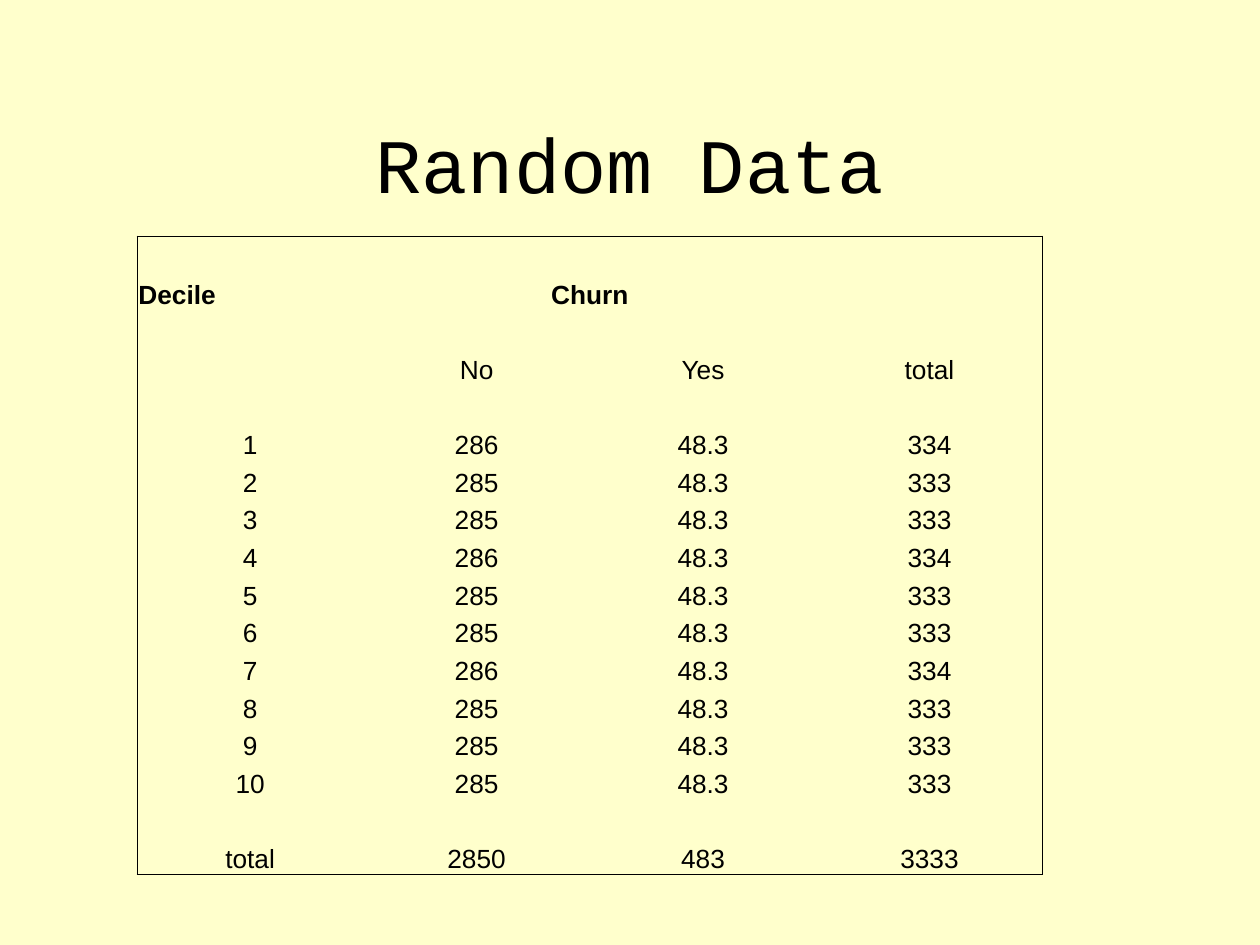
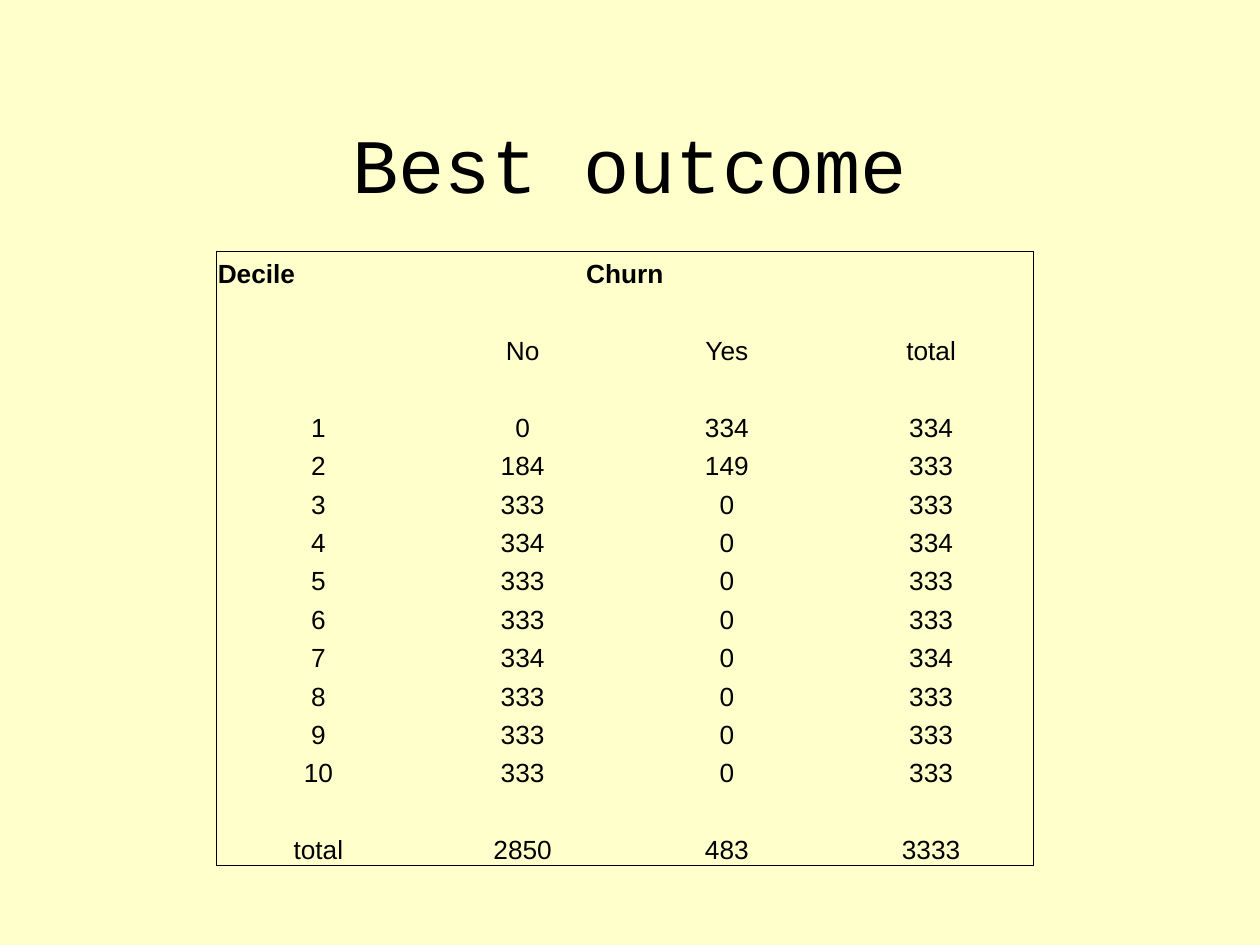
from dataclasses import dataclass

from lxml.etree import SubElement
from pptx import Presentation
from pptx.dml.color import RGBColor
from pptx.enum.text import MSO_ANCHOR, PP_ALIGN
from pptx.oxml.ns import qn
from pptx.presentation import Presentation as Deck
from pptx.slide import Slide
from pptx.table import Table, _Cell
from pptx.text.text import _Paragraph
from pptx.util import Cm, Pt

COLOURS = {"paper": "FFFFCC", "ink": "000000"}
TITLE_FONT, TABLE_FONT = "Courier New", "Arial"
TITLE_SIZE, TABLE_SIZE = Pt(44), Pt(15)
BORDER_WIDTH = Pt(0.5)
NO_STYLE = "{2D5ABB26-0587-4C30-8999-92F81FD0307C}"


@dataclass
class DecilePage:
    """One slide: a title and a churn table; lengths in centimetres."""
    title: str
    left: float
    top: float
    width: float
    height: float
    header_height: float
    no: list[str]
    yes: list[str]
    total: list[str]

    def rows(self) -> list[list[str]]:
        blank = [""] * 4
        deciles = [str(number) for number in range(1, 11)]
        body = [list(row) for row in zip(deciles, self.no, self.yes, self.total)]
        return [
            ["Decile", "Churn", "", ""],
            blank,
            ["", "No", "Yes", "total"],
            blank,
            *body,
            blank,
            ["total", "2850", "483", "3333"],
        ]


DECILE_TOTALS = "334 333 333 334 333 333 334 333 333 333".split()

PAGES = [
    DecilePage(
        "Random Data", 2.76, 4.76, 18.26, 12.87, 1.48,
        no="286 285 285 286 285 285 286 285 285 285".split(),
        yes=["48.3"] * 10,
        total=DECILE_TOTALS,
    ),
    DecilePage(
        "Best outcome", 4.36, 5.06, 16.47, 12.38, 0.77,
        no="0 184 333 334 333 333 334 333 333 333".split(),
        yes=["334", "149"] + ["0"] * 8,
        total=DECILE_TOTALS,
    ),
]


def add_span(para: _Paragraph, text: str, font: str, size: Pt, bold: bool = False) -> None:
    span = para.add_run()
    span.text = text
    span.font.name = font
    span.font.size = size
    span.font.bold = bold
    span.font.color.rgb = RGBColor.from_string(COLOURS["ink"])


def add_title(page: Slide, text: str) -> None:
    box = page.shapes.add_textbox(Cm(1.9), Cm(1.7), Cm(21.6), Cm(3.18))
    frame = box.text_frame
    frame.word_wrap = True
    frame.vertical_anchor = MSO_ANCHOR.MIDDLE
    para = frame.paragraphs[0]
    para.alignment = PP_ALIGN.CENTER
    add_span(para, text, TITLE_FONT, TITLE_SIZE)


def set_borders(cell: _Cell, edges: dict[str, bool]) -> None:
    """Draw the named edges that are on and clear the others."""
    properties = cell._tc.get_or_add_tcPr()
    for name, visible in edges.items():
        line = SubElement(properties, qn(f"a:{name}"), w=str(BORDER_WIDTH))
        if visible:
            fill = SubElement(line, qn("a:solidFill"))
            SubElement(fill, qn("a:srgbClr"), val=COLOURS["ink"])
        else:
            SubElement(line, qn("a:noFill"))


def fill_cell(cell: _Cell, text: str, bold: bool, alignment: PP_ALIGN) -> None:
    cell.margin_left = cell.margin_right = cell.margin_top = Cm(0.03)
    cell.margin_bottom = Cm(0)
    cell.vertical_anchor = MSO_ANCHOR.BOTTOM
    para = cell.text_frame.paragraphs[0]
    para.alignment = alignment
    if text:
        add_span(para, text, TABLE_FONT, TABLE_SIZE, bold)
    else:
        # Keeps an empty row from growing to the default text size
        SubElement(para._p, qn("a:endParaRPr"), sz=str(int(TABLE_SIZE.pt * 100)))


def clear_style(table: Table) -> None:
    table.first_row = False
    table.horz_banding = False
    table._tbl.tblPr.find(qn("a:tableStyleId")).text = NO_STYLE


def add_decile_table(page: Slide, content: DecilePage) -> None:
    rows = content.rows()
    last_row, last_column = len(rows) - 1, len(rows[0]) - 1
    table = page.shapes.add_table(
        len(rows), len(rows[0]),
        Cm(content.left), Cm(content.top), Cm(content.width), Cm(content.height),
    ).table
    clear_style(table)

    # Equal columns; a header row of its own height, then equal rows
    for column in table.columns:
        column.width = Cm(content.width / len(rows[0]))
    for row in table.rows:
        row.height = Cm((content.height - content.header_height) / last_row)
    table.rows[0].height = Cm(content.header_height)

    for y, row in enumerate(rows):
        for x, text in enumerate(row):
            cell = table.cell(y, x)
            heading = y == 0
            alignment = PP_ALIGN.LEFT if heading and x == 0 else PP_ALIGN.CENTER
            fill_cell(cell, text, heading, alignment)
            set_borders(cell, {
                "lnL": x == 0,
                "lnR": x == last_column,
                "lnT": y == 0,
                "lnB": y == last_row,
            })
            cell.fill.background()
    table.cell(0, 1).merge(table.cell(0, 2))


def add_page(deck: Deck, content: DecilePage) -> None:
    page = deck.slides.add_slide(deck.slide_layouts[6])
    background = page.background.fill
    background.solid()
    background.fore_color.rgb = RGBColor.from_string(COLOURS["paper"])
    add_title(page, content.title)
    add_decile_table(page, content)


deck = Presentation()
deck.slide_width, deck.slide_height = Cm(25.4), Cm(19.05)
for content in PAGES:
    add_page(deck, content)
deck.save("out.pptx")
